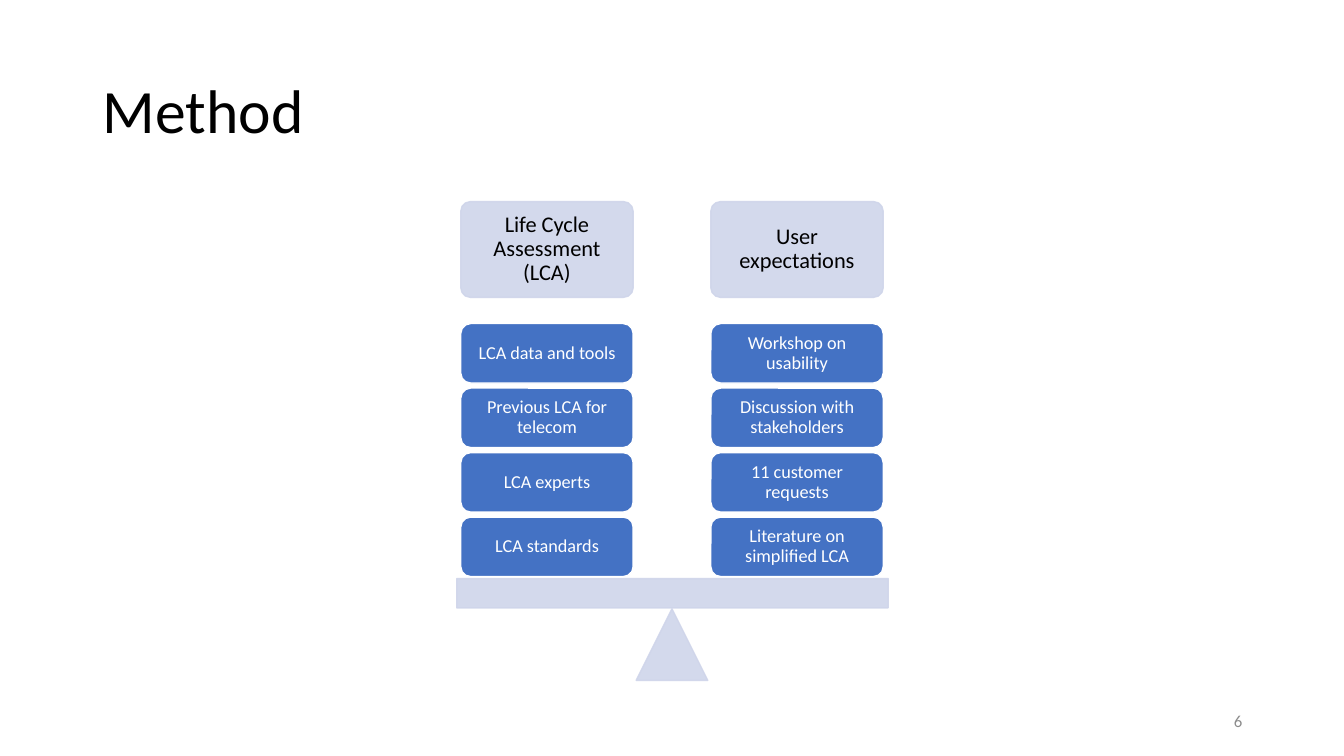
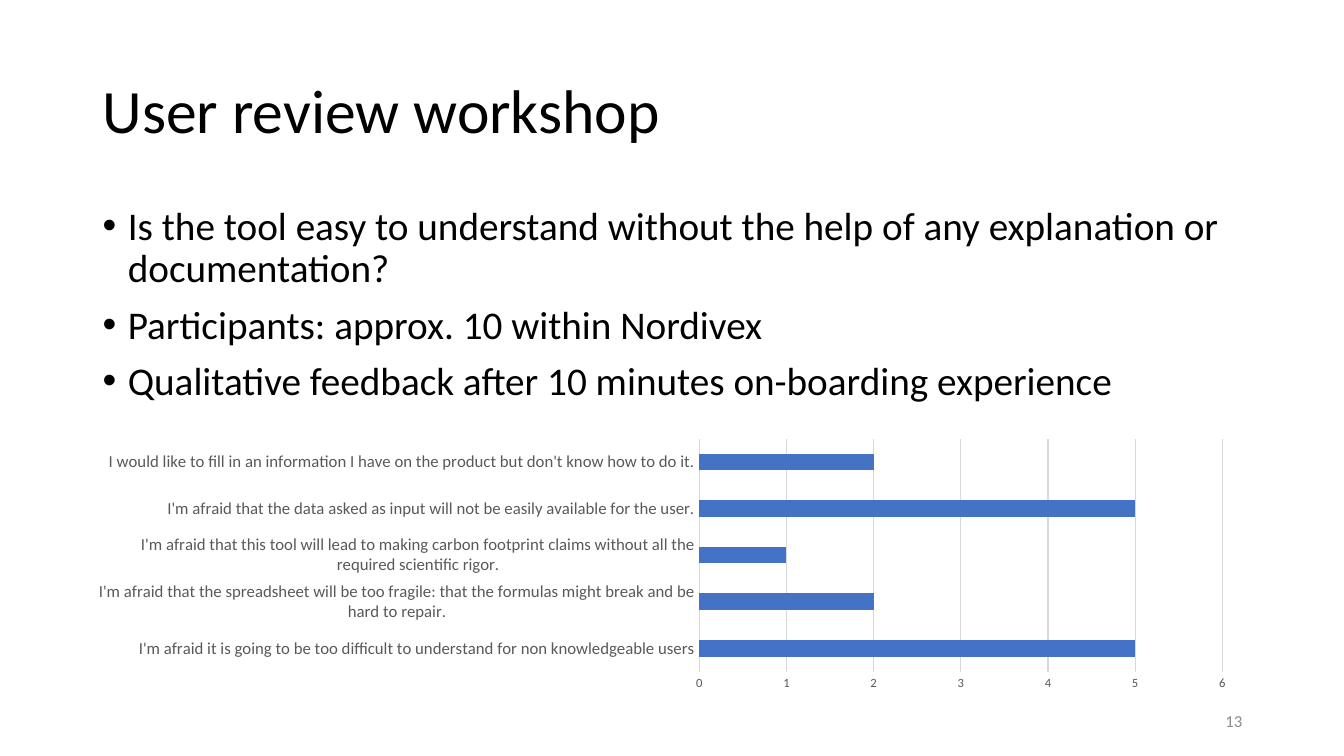
from lxml import etree
from pptx import Presentation
from pptx import util as u
from pptx.chart.data import CategoryChartData
from pptx.dml.color import RGBColor
from pptx.enum import chart as charts, shapes, text
from pptx.oxml import parse_xml
from pptx.oxml.ns import nsdecls, qn

BLACK = RGBColor(0x00, 0x00, 0x00)
WHITE = RGBColor(0xFF, 0xFF, 0xFF)
BLUE = RGBColor(0x44, 0x72, 0xC4)
PALE_BLUE = RGBColor(0xCF, 0xD5, 0xEA)
AXIS_TEXT = RGBColor(0x59, 0x59, 0x59)
GRID = RGBColor(0xD9, 0xD9, 0xD9)
NUMBER_GREY = RGBColor(0x8C, 0x8C, 0x8C)

FONT = "Calibri"
LEFT, CONTENT_WIDTH = 0.92, 11.5
SHAPE = shapes.MSO_SHAPE
ALIGN = text.PP_ALIGN
MIDDLE = text.MSO_ANCHOR.MIDDLE


def style_font(font, size, color):
    font.name, font.size = FONT, u.Pt(size)
    font.color.rgb = color


def add_bullet(paragraph, indent=0.25):
    properties = paragraph._p.get_or_add_pPr()
    properties.set("marL", str(u.Inches(indent)))
    properties.set("indent", str(-u.Inches(indent)))
    etree.SubElement(properties, qn("a:buFont")).set("typeface", "Arial")
    etree.SubElement(properties, qn("a:buChar")).set("char", "•")


def write(frame, content, size=18, color=BLACK, align=ALIGN.LEFT, anchor=MIDDLE,
          line_spacing=0.9, space_before=0, bullets=False, margin=None):
    """Fill a text frame with one paragraph for each line of content."""
    frame.word_wrap = True
    frame.vertical_anchor = anchor
    if margin is not None:
        frame.margin_left = frame.margin_right = u.Inches(margin)
        frame.margin_top = frame.margin_bottom = u.Inches(margin)
    for index, line in enumerate(content.split("\n")):
        paragraph = frame.add_paragraph() if index else frame.paragraphs[0]
        if bullets:
            add_bullet(paragraph)
        paragraph.alignment = align
        paragraph.line_spacing = line_spacing
        paragraph.space_before = u.Pt(space_before if index else 0)
        run = paragraph.add_run()
        run.text = line
        style_font(run.font, size, color)


def set_opacity(shape, percent):
    """Apply the opacity to both fill and outline."""
    for color in shape._element.spPr.iter(qn("a:srgbClr")):
        etree.SubElement(color, qn("a:alpha")).set("val", str(percent * 1000))


def place_plot(chart, x, y, width, height):
    """Fix the inner plot area, in fractions of the chart frame."""
    plot_area = chart._chartSpace.chart.plotArea
    for layout in plot_area.findall(qn("c:layout")):
        plot_area.remove(layout)
    sizes = "".join(f'<c:{tag} val="{value}"/>' for tag, value in
                    (("x", x), ("y", y), ("w", width), ("h", height)))
    plot_area.insert(0, parse_xml(
        f'<c:layout {nsdecls("c")}><c:manualLayout><c:layoutTarget val="inner"/>'
        '<c:xMode val="edge"/><c:yMode val="edge"/>'
        f'{sizes}</c:manualLayout></c:layout>'))


class Deck:
    def __init__(self):
        self.presentation = Presentation()
        self.presentation.slide_width = u.Inches(13.33)
        self.presentation.slide_height = u.Inches(7.5)
        self.slide = None

    def add_slide(self, title, number):
        self.slide = self.presentation.slides.add_slide(
            self.presentation.slide_layouts[6])
        self.text(title, LEFT, 0.4, CONTENT_WIDTH, 1.45, size=44)
        self.text(str(number), 9.42, 6.95, 3, 0.4, size=12, color=NUMBER_GREY,
                  align=ALIGN.RIGHT, line_spacing=1)

    def text(self, content, left, top, width, height, **style):
        box = self.slide.shapes.add_textbox(*map(u.Inches, (left, top, width, height)))
        write(box.text_frame, content, **style)

    def shape(self, kind, left, top, width, height, fill, line):
        shape = self.slide.shapes.add_shape(
            kind, *map(u.Inches, (left, top, width, height)))
        shape.shadow.inherit = False
        shape.fill.solid()
        shape.fill.fore_color.rgb = fill
        shape.line.color.rgb = line
        shape.line.width = u.Pt(1)
        return shape

    def pale_shape(self, kind, left, top, width, height):
        shape = self.shape(kind, left, top, width, height, PALE_BLUE, PALE_BLUE)
        set_opacity(shape, 90)
        return shape

    def pan_header(self, content, left, top, width, height):
        header = self.pale_shape(SHAPE.ROUNDED_RECTANGLE, left, top, width, height)
        header.adjustments[0] = 0.1
        write(header.text_frame, content, size=16, align=ALIGN.CENTER, margin=0.1)

    def weight(self, content, left, top, width, height):
        block = self.shape(SHAPE.ROUNDED_RECTANGLE, left, top, width, height, BLUE, WHITE)
        write(block.text_frame, content, size=13, color=WHITE,
              align=ALIGN.CENTER, margin=0.05)

    def bar_chart(self, answers, left, top, width, height):
        data = CategoryChartData(number_format="General")
        data.categories = [statement for statement, _ in answers]
        data.add_series("Series 1", [count for _, count in answers])
        chart = self.slide.shapes.add_chart(
            charts.XL_CHART_TYPE.BAR_CLUSTERED,
            *map(u.Inches, (left, top, width, height)), data).chart
        chart.has_title = chart.has_legend = False
        style_font(chart.font, 10, BLACK)
        plot = chart.plots[0]
        plot.gap_width = 182
        plot.vary_by_categories = False
        bars = plot.series[0].format.fill
        bars.solid()
        bars.fore_color.rgb = BLUE

        categories, values = chart.category_axis, chart.value_axis
        for axis, size in ((categories, 12), (values, 9)):
            axis.major_tick_mark = axis.minor_tick_mark = charts.XL_TICK_MARK.NONE
            style_font(axis.tick_labels.font, size, AXIS_TEXT)
        values.minimum_scale, values.maximum_scale, values.major_unit = 0, 6, 1
        values.has_major_gridlines = True
        values.format.line.fill.background()
        for line in (categories.format.line, values.major_gridlines.format.line):
            line.color.rgb = GRID
            line.width = u.Pt(0.75)
        place_plot(chart, 0.517, 0.058, 0.452, 0.819)


def build_method(deck):
    deck.add_slide("Method", 6)
    pans = [
        ("Life Cycle Assessment (LCA)",
         ["LCA data and tools", "Previous LCA for telecom", "LCA experts",
          "LCA standards"]),
        ("User expectations",
         ["Workshop on usability", "Discussion with stakeholders",
          "11 customer requests", "Literature on simplified LCA"]),
    ]
    deck.pale_shape(SHAPE.ISOSCELES_TRIANGLE, 6.31, 6.04, 0.71, 0.71)
    deck.pale_shape(SHAPE.RECTANGLE, 4.53, 5.74, 4.28, 0.29)
    for column, (header, weights) in enumerate(pans):
        left = 4.57 + 2.48 * column
        deck.pan_header(header, left, 2, 1.71, 0.95)
        for row, label in enumerate(weights):
            deck.weight(label, left, 3.21 + 0.64 * row, 1.71, 0.59)


def build_workshop(deck):
    deck.add_slide("User review workshop", 13)
    deck.text("Is the tool easy to understand without the help of any explanation "
              "or documentation?\n"
              "Participants: approx. 10 within Nordivex\n"
              "Qualitative feedback after 10 minutes on-boarding experience",
              LEFT, 2, CONTENT_WIDTH, 4.76, size=28, space_before=10,
              anchor=text.MSO_ANCHOR.TOP, bullets=True)
    answers = [
        ("I'm afraid it is going to be too difficult to understand for non "
         "knowledgeable users", 5),
        ("I'm afraid that the spreadsheet will be too fragile: that the formulas "
         "might break and be hard to repair.", 2),
        ("I'm afraid that this tool will lead to making carbon footprint claims "
         "without all the required scientific rigor.", 1),
        ("I'm afraid that the data asked as input will not be easily available "
         "for the user.", 5),
        ("I would like to fill in an information I have on the product but don't "
         "know how to do it.", 2),
    ]
    deck.bar_chart(answers, 0.98, 4.19, CONTENT_WIDTH, 2.82)


def main():
    deck = Deck()
    build_method(deck)
    build_workshop(deck)
    deck.presentation.save("out.pptx")


if __name__ == "__main__":
    main()
